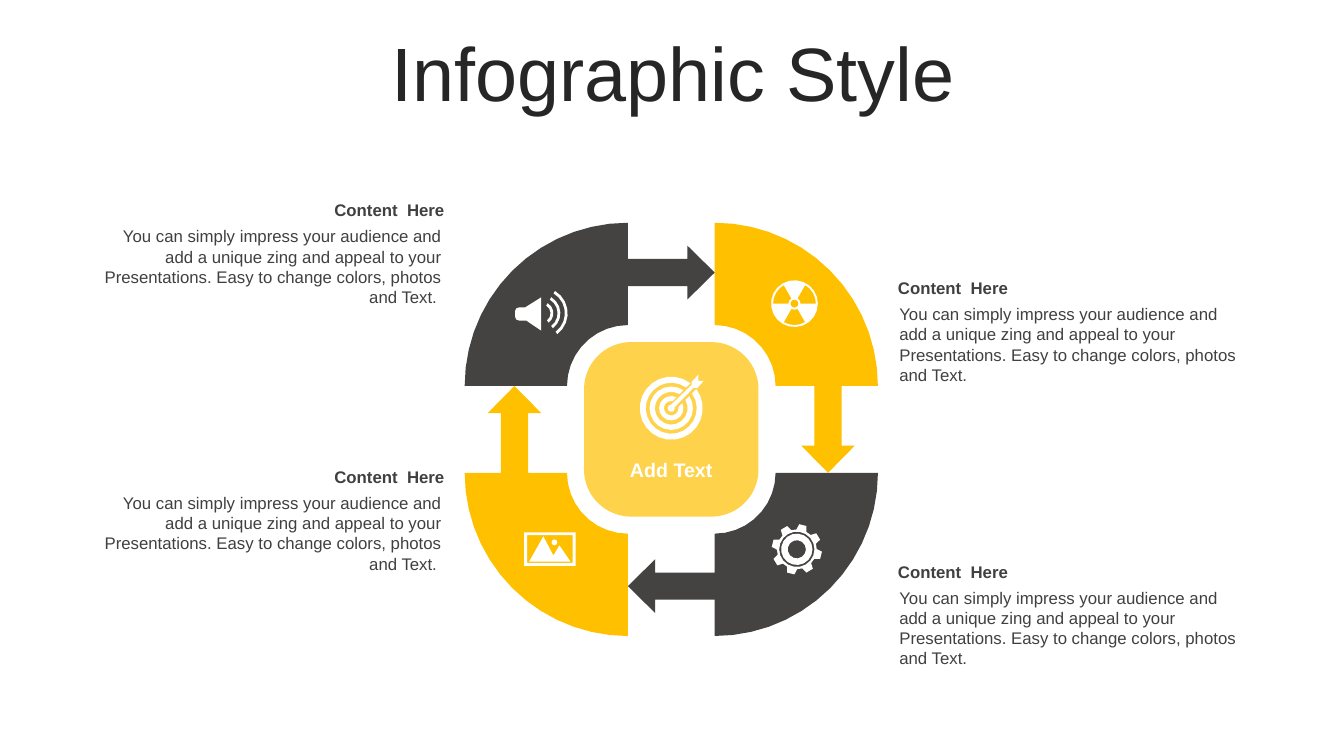
from math import asin, ceil, cos, degrees, radians, sin, sqrt

from lxml.etree import SubElement
from pptx import Presentation
from pptx.dml.color import RGBColor
from pptx.enum.shapes import MSO_SHAPE as Preset
from pptx.enum.text import MSO_ANCHOR as Anchor, MSO_AUTO_SIZE as AutoSize, PP_ALIGN as Align
from pptx.oxml.ns import qn
from pptx.util import Pt

COLORS = {
    "title": "262626",
    "text": "404040",
    "dark": "444342",
    "accent": "FFC000",
    "white": "FFFFFF",
}
FONT = "Arial"
FLATNESS = 0.2
BLURB = (
    "You can simply impress your audience and add a unique zing and appeal to your "
    "Presentations. Easy to change colors, photos and Text."
)


def polar(x, y, radius, angle):
    return x + radius * cos(radians(angle)), y + radius * sin(radians(angle))


def arc(x, y, radius, start, end):
    steps = ceil(abs(radians(end - start)) / sqrt(8 * FLATNESS / radius))
    return [polar(x, y, radius, start + (end - start) * i / steps) for i in range(steps + 1)]


def circle(x, y, radius):
    return arc(x, y, radius, 0, 360)[:-1]


def band(x, y, outer, inner, start, end):
    return arc(x, y, outer, start, end) + arc(x, y, inner, end, start)


def rectangle(left, top, width, height):
    right, bottom = left + width, top + height
    return [(left, top), (right, top), (right, bottom), (left, bottom)]


def paint(shape, color):
    shape.shadow.inherit = False
    shape.fill.solid()
    shape.fill.fore_color.rgb = RGBColor.from_string(COLORS[color])
    shape.line.fill.background()


def draw_outline(slide, contours, left, top, color):
    placed = [[(Pt(left + x), Pt(top + y)) for x, y in contour] for contour in contours]
    builder = slide.shapes.build_freeform(*placed[0][0])
    builder.add_line_segments(placed[0][1:], close=True)
    for contour in placed[1:]:
        builder.move_to(*contour[0])
        builder.add_line_segments(contour[1:], close=True)
    paint(builder.convert_to_shape(), color)


def add_text(slide, box, text, size, color, align=Align.LEFT, bold=False):
    textbox = slide.shapes.add_textbox(*(Pt(length) for length in box))
    frame = textbox.text_frame
    frame.word_wrap = True
    frame.auto_size = AutoSize.NONE
    paragraph = frame.paragraphs[0]
    paragraph.alignment = align
    run = paragraph.add_run()
    run.text = text
    run.font.name = FONT
    run.font.size = Pt(size)
    run.font.bold = bold
    run.font.color.rgb = RGBColor.from_string(COLORS[color])
    return frame


def add_title(slide, box):
    frame = add_text(slide, box, "Infographic Style", 54, "title", Align.CENTER)
    frame.vertical_anchor = Anchor.MIDDLE
    frame.paragraphs[0].line_spacing = 0.9


def add_callout(slide, box, align):
    left, top, width, height = box
    blurb = BLURB + " " if align == Align.RIGHT else BLURB
    add_text(slide, (left + 1, top + 18.5, width - 3, height - 18.5), blurb, 12, "text", align)
    add_text(slide, (left, top, width, 21.6), "Content  Here", 12, "text", align, bold=True)


def add_cycle(slide, box):
    left, top, side = box
    middle_x, middle_y = left + side / 2, top + side / 2
    gap, outer, inner = 31, side / 2 - 31, 43.5
    shaft, head, axis, head_base = 9.7, 19.2, 112, 11.5
    arrow = [
        (axis + shaft, -gap), (axis + shaft, head_base), (axis + head, head_base),
        (axis, gap), (axis - head, head_base), (axis - shaft, head_base), (axis - shaft, -gap),
    ]
    segment = arc(gap, -gap, outer, -90, 0) + arrow + arc(gap, -gap, inner, 0, -90)
    for color in ("accent", "dark", "accent", "dark"):
        draw_outline(slide, [segment], middle_x, middle_y, color)
        segment = [(-y, x) for x, y in segment]

    hub_side = 124.6
    hub = slide.shapes.add_shape(
        Preset.ROUNDED_RECTANGLE,
        Pt(middle_x - hub_side / 2), Pt(middle_y - hub_side / 2), Pt(hub_side), Pt(hub_side),
    )
    hub.adjustments[0] = 0.27
    paint(hub, "accent")
    tint = hub.fill._xPr.find(qn("a:solidFill"))[0]
    SubElement(tint, qn("a:alpha"), val="70000")
    label_box = (middle_x - 43.6, middle_y + 16.6, 87.2, 24.2)
    add_text(slide, label_box, "Add Text", 14, "white", Align.CENTER, bold=True)


def add_speaker(slide, left, top):
    cone = [
        (18.7, 5), (18.7, 28.8), (8, 21.6), (2.9, 21.6), (0.8, 20.8), (0, 18.7),
        (0, 15), (0.8, 13), (2.9, 12.2), (7.2, 12.2),
    ]
    waves = [band(19, 16.4, radius, radius - 2, -59, 53) for radius in (8.4, 13.4, 18.6)]
    draw_outline(slide, [cone] + waves, left, top, "white")


def add_radiation(slide, left, top):
    center = (16.7, 16.7)
    blades = [band(*center, 15.3, 4.3, start, start + 60) for start in (-60, 60, 180)]
    draw_outline(slide, [circle(*center, 16.7), circle(*center, 2.9)] + blades, left, top, "white")


def add_landscape(slide, left, top):
    mountains = [(3.6, 20.9), (13.7, 2.9), (20.9, 16.6), (25.2, 9.4), (33.1, 20.9)]
    contours = [
        rectangle(0, 0, 36.7, 24), rectangle(2.1, 2.1, 32.5, 19.8),
        mountains, circle(21.6, 7.2, 2.1),
    ]
    draw_outline(slide, contours, left, top, "white")


def add_target(slide, left, top):
    center = (22.5, 23.8)
    rings = []
    for outer, inner in ((22.5, 18.2), (15.5, 11.7), (8.7, 5.2)):
        outer_gap, inner_gap = (degrees(asin(3 / radius)) for radius in (outer, inner))
        rings.append(
            arc(*center, outer, -45 + outer_gap, 315 - outer_gap)
            + arc(*center, inner, 315 - inner_gap, -45 + inner_gap)
        )
    dart = arc(*center, 2.6, -18, 270) + [
        (37, 7.2), (37, 5), (41.8, 0), (42, 4.3), (45.6, 4.3), (41.2, 9.3), (38.4, 9.3),
    ]
    draw_outline(slide, rings + [dart], left, top, "white")


def add_gear(slide, left, top):
    center = (17.7, 18)
    profile = ((14.2, -15), (18, -8.5), (18, 8.5), (14.2, 15))
    teeth = [
        polar(*center, radius, -76 + 45 * tooth + offset)
        for tooth in range(8) for radius, offset in profile
    ]
    rings = [circle(*center, radius) for radius in (12.6, 11.2, 6.5)]
    draw_outline(slide, [teeth] + rings, left, top, "white")


def main():
    deck = Presentation()
    deck.slide_width, deck.slide_height = Pt(960), Pt(540)
    slide = deck.slides.add_slide(deck.slide_layouts[6])

    add_title(slide, (25.2, 26.6, 911.5, 56.9))
    add_cycle(slide, (331.9, 159.1, 295.2))
    for left, top, align in (
        (634.3, 195.1, Align.LEFT),
        (634.3, 397.4, Align.LEFT),
        (62.6, 139.5, Align.RIGHT),
        (62.6, 330, Align.RIGHT),
    ):
        add_callout(slide, (left, top, 262, 84), align)

    add_speaker(slide, 367.9, 207.4)
    add_radiation(slide, 550.8, 200.2)
    add_landscape(slide, 374.4, 380.2)
    add_target(slide, 457, 267.8)
    add_gear(slide, 551.5, 374.4)
    deck.save("out.pptx")


if __name__ == "__main__":
    main()
